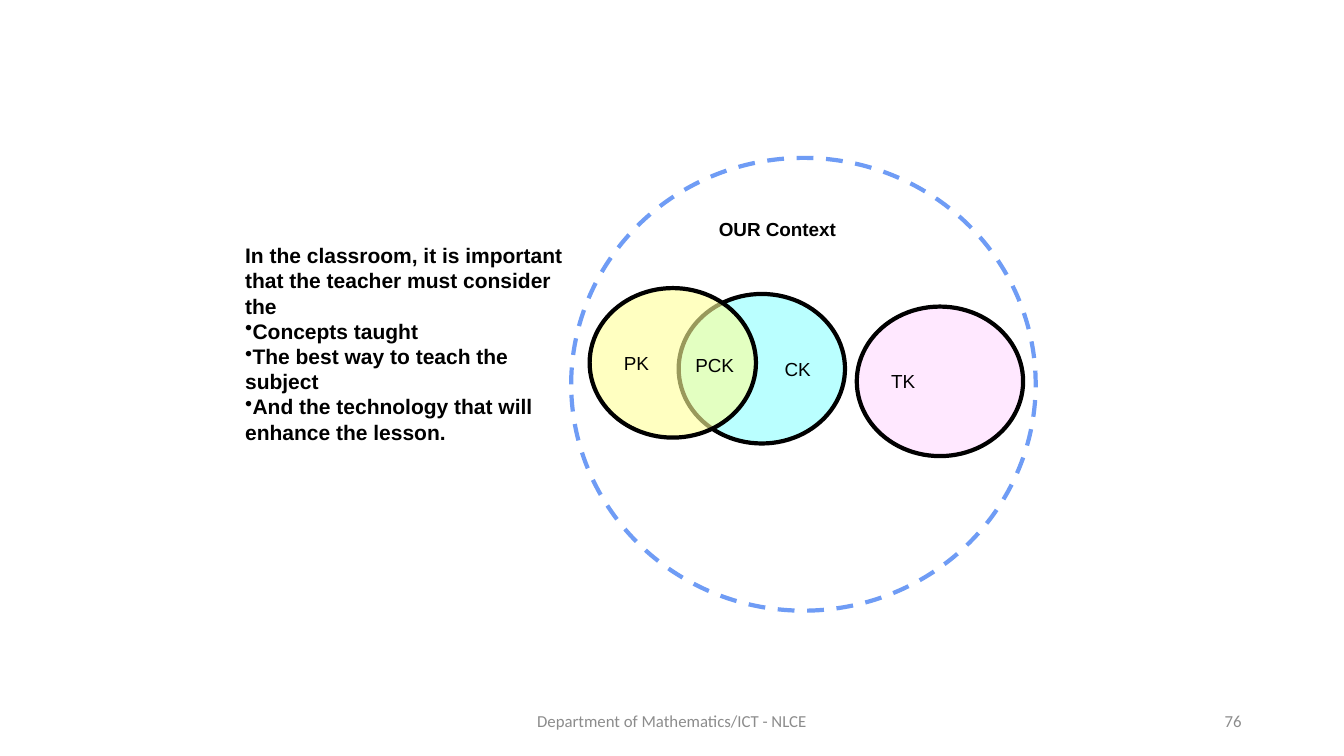
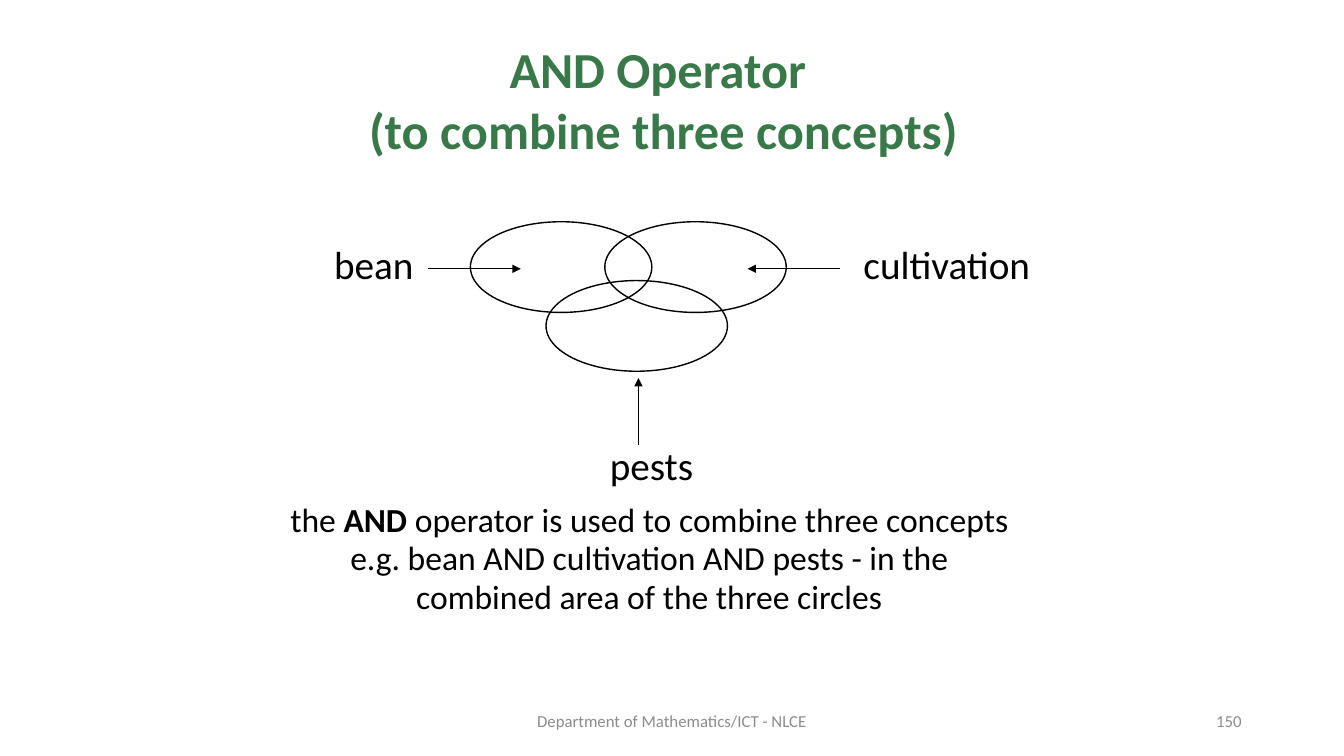
from lxml.etree import SubElement
from pptx import Presentation
from pptx.dml.color import RGBColor
from pptx.enum.dml import MSO_LINE
from pptx.enum.shapes import MSO_CONNECTOR, MSO_SHAPE
from pptx.enum.text import MSO_ANCHOR, PP_ALIGN
from pptx.oxml.ns import qn
from pptx.util import Inches, Pt

BLACK = RGBColor(0x00, 0x00, 0x00)
GRAY = RGBColor(0x8C, 0x8C, 0x8C)
GREEN = RGBColor(0x38, 0x78, 0x49)
BLUE = RGBColor(0x6F, 0x9C, 0xF5)
PINK = RGBColor(0xFF, 0xCC, 0xFF)
CYAN = RGBColor(0x66, 0xFF, 0xFF)
YELLOW = RGBColor(0xFF, 0xFF, 0x99)

COLUMNS, ROWS = 160, 90
FOOTER = "Department of Mathematics/ICT - NLCE"


class Deck:
    heading_font = "Calibri"
    diagram_font = "Arial"

    def __init__(self):
        self.presentation = Presentation()
        self.presentation.slide_width = Inches(13.33)
        self.presentation.slide_height = Inches(7.5)
        self.slide = None

    def across(self, columns):
        return round(self.presentation.slide_width * columns / COLUMNS)

    def down(self, rows):
        return round(self.presentation.slide_height * rows / ROWS)

    def box(self, left, top, width, height):
        return self.across(left), self.down(top), self.across(width), self.down(height)

    def add_slide(self, number):
        self.slide = self.presentation.slides.add_slide(self.presentation.slide_layouts[6])
        for area, content, align in (
            ((53, 83.4, 54, 4.8), FOOTER, PP_ALIGN.CENTER),
            ((113, 83.4, 36, 4.8), str(number), PP_ALIGN.RIGHT),
        ):
            self.text(area, [content], 12, color=GRAY, align=align, anchor=MSO_ANCHOR.MIDDLE)

    def style(self, paragraph, size, font, color=BLACK, bold=False, align=PP_ALIGN.LEFT):
        paragraph.alignment = align
        paragraph.font.size = Pt(size)
        paragraph.font.name = font
        paragraph.font.bold = bold
        paragraph.font.color.rgb = color

    def text(self, area, lines, size, font=heading_font, color=BLACK, bold=False,
             align=PP_ALIGN.CENTER, anchor=MSO_ANCHOR.TOP):
        frame = self.slide.shapes.add_textbox(*self.box(*area)).text_frame
        frame.word_wrap = True
        frame.vertical_anchor = anchor
        for index, line in enumerate(lines):
            paragraph = frame.add_paragraph() if index else frame.paragraphs[0]
            paragraph.text = line
            self.style(paragraph, size, font, color, bold, align)
        return frame

    def title(self, content):
        self.text((25, 4, 108, 15), [content], 36, color=GREEN, bold=True)

    def bullet(self, paragraph):
        properties = paragraph._p.get_or_add_pPr()
        properties.set("marL", "0")
        properties.set("indent", "0")
        mark = properties.makeelement(qn("a:buChar"), {"char": "•"})
        properties.insert(0, mark)

    def ellipse(self, area, line_color=BLACK, line_width=1, dash=None):
        shape = self.slide.shapes.add_shape(MSO_SHAPE.OVAL, *self.box(*area))
        shape.shadow.inherit = False
        shape.fill.background()
        shape.line.color.rgb = line_color
        shape.line.width = Pt(line_width)
        if dash:
            shape.line.dash_style = dash
        return shape

    def knowledge_circle(self, left, top, label, color, opacity, align=PP_ALIGN.LEFT):
        shape = self.ellipse((left, top, 19.8, 17.8), line_width=3)
        shape.fill.solid()
        shape.fill.fore_color.rgb = color
        fill_color = shape.element.spPr.find(qn("a:solidFill")).find(qn("a:srgbClr"))
        SubElement(fill_color, qn("a:alpha"), val=str(opacity * 1000))
        paragraph = shape.text_frame.paragraphs[0]
        paragraph.text = label
        self.style(paragraph, 13.5, self.diagram_font, align=align)

    def arrow(self, start, end):
        connector = self.slide.shapes.add_connector(
            MSO_CONNECTOR.STRAIGHT,
            self.across(start[0]), self.down(start[1]),
            self.across(end[0]), self.down(end[1]),
        )
        connector.line.color.rgb = BLACK
        connector.line.width = Pt(0.75)
        SubElement(connector.line._get_or_add_ln(), qn("a:tailEnd"), type="triangle")
        SubElement(connector._element.spPr, qn("a:effectLst"))


def build_context_slide(deck):
    deck.add_slide(76)
    deck.ellipse((68, 18.8, 55.3, 53.9), BLUE, 3, MSO_LINE.DASH)
    deck.knowledge_circle(102, 36.5, "TK", PINK, 45)
    deck.knowledge_circle(80.8, 35, "CK", CYAN, 45, PP_ALIGN.RIGHT)
    deck.knowledge_circle(70.2, 34.3, "PK", YELLOW, 60)
    for area, label, bold in (
        ((81.6, 41.5, 7.8, 4), "PCK", False),
        ((84.4, 25.3, 23.4, 4), "OUR Context", True),
    ):
        deck.text(area, [label], 13.5, deck.diagram_font, bold=bold, align=PP_ALIGN.LEFT)
    advice = deck.text((28, 28.3, 42.1, 25), [
        "In the classroom, it is important that the teacher must consider the",
        "Concepts taught",
        "The best way to teach the subject",
        "And the technology that will enhance the lesson.",
    ], 15, deck.diagram_font, bold=True, align=PP_ALIGN.LEFT)
    for paragraph in advice.paragraphs[1:]:
        deck.bullet(paragraph)


def build_operator_slide(deck):
    deck.add_slide(150)
    deck.title("AND Operator \n(to combine three concepts)")
    for left, top in ((56, 26.4), (72, 26.4), (65, 33.4)):
        deck.ellipse((left, top, 21.6, 10.8))
    for left, top, width, concept, start, end in (
        (38, 28, 13, "bean", (51, 32), (62, 32)),
        (100.7, 28, 24, "cultivation", (100, 32), (89, 32)),
        (70.7, 52, 13.7, "pests", (76, 53), (76, 45)),
    ):
        deck.text((left, top, width, 6.8), [concept], 28)
        deck.arrow(start, end)
    explanation = deck.text((33, 59, 88.6, 15.2), ["the "], 24, anchor=MSO_ANCHOR.MIDDLE)
    paragraph = explanation.paragraphs[0]
    paragraph.line_spacing = 0.95
    operator = paragraph.add_run()
    operator.text = "AND"
    operator.font.bold = True
    paragraph.add_run().text = (
        " operator is used to combine three concepts e.g. bean AND cultivation"
        " AND pests - in the combined area of the three circles"
    )


def main():
    deck = Deck()
    build_context_slide(deck)
    build_operator_slide(deck)
    deck.presentation.save("out.pptx")


if __name__ == "__main__":
    main()
